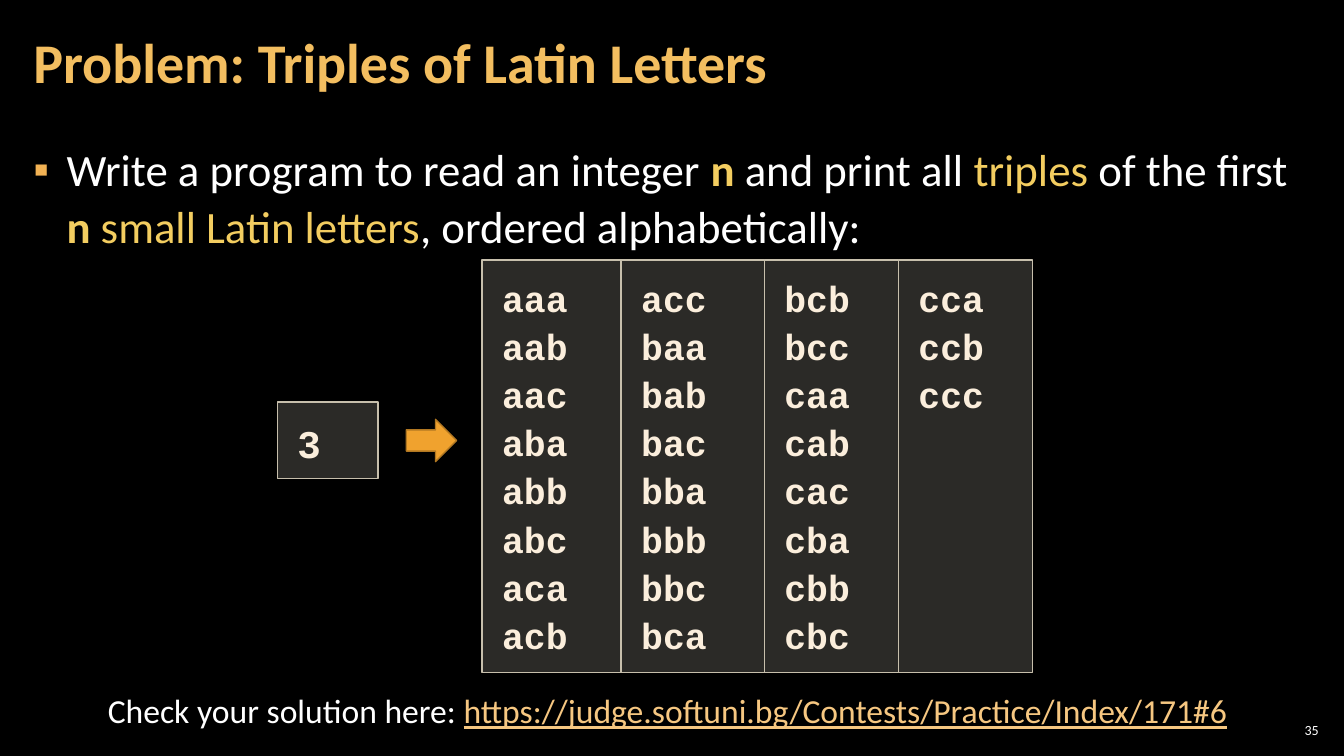
from itertools import product

from lxml import etree
from pptx import Presentation
from pptx.dml.color import RGBColor
from pptx.enum.shapes import MSO_SHAPE
from pptx.enum.text import MSO_ANCHOR, MSO_AUTO_SIZE, PP_ALIGN
from pptx.oxml.ns import qn
from pptx.util import Inches, Pt

RECTANGLE, RIGHT_ARROW = MSO_SHAPE.RECTANGLE, MSO_SHAPE.RIGHT_ARROW
TOP, MIDDLE = MSO_ANCHOR.TOP, MSO_ANCHOR.MIDDLE
LEFT, CENTER, RIGHT = PP_ALIGN.LEFT, PP_ALIGN.CENTER, PP_ALIGN.RIGHT
NO_AUTOFIT = MSO_AUTO_SIZE.NONE

THEME = {
    "background": "000000", "white": "FFFFFF", "title": "F3BE60",
    "highlight": "F3CD60", "bullet": "F2B254", "link": "F6C781",
    "code": "FBEEDC", "panel": "D9D5C7", "panel_line": "C7BFAC",
    "arrow": "F0A22E", "arrow_line": "B27822",
    "title_size": 40, "body_size": 32, "input_size": 28,
    "output_size": 26, "check_size": 24, "number_size": 10,
    "text_font": "Calibri", "code_font": "Courier New",
}


def color(name):
    return RGBColor.from_string(THEME[name])


def write(shape, box, paragraphs, size, font="text_font", anchor=TOP,
          insets=(0.12, 0.04), paragraph_format=None):
    shape.left, shape.top, shape.width, shape.height = map(Inches, box)
    frame = shape.text_frame
    horizontal, vertical = map(Inches, insets)
    frame_format = {
        "word_wrap": True, "auto_size": NO_AUTOFIT, "vertical_anchor": anchor,
        "margin_left": horizontal, "margin_right": horizontal,
        "margin_top": vertical, "margin_bottom": vertical,
    }
    for name, value in frame_format.items():
        setattr(frame, name, value)
    for index, runs in enumerate(paragraphs):
        paragraph = frame.add_paragraph() if index else frame.paragraphs[0]
        for name, value in (paragraph_format or {}).items():
            setattr(paragraph, name, value)
        for text, color_name, bold, underline in runs:
            run = paragraph.add_run()
            run.text = text
            run.font.color.rgb = color(color_name)
            font_format = {"name": THEME[font], "size": Pt(THEME[size]),
                           "bold": bold, "underline": underline}
            for name, value in font_format.items():
                setattr(run.font, name, value)


presentation = Presentation()
presentation.slide_width = Inches(13.33)
presentation.slide_height = Inches(7.5)
slide = presentation.slides.add_slide(presentation.slide_layouts[1])
slide.background.fill.solid()
slide.background.fill.fore_color.rgb = color("background")

write(slide.shapes.title, (0.21, 0.04, 10.47, 1.21),
      [[("Problem: Triples of Latin Letters", "title", True, False)]],
      "title_size", anchor=MIDDLE,
      paragraph_format={"alignment": LEFT, "line_spacing": 0.9})

body = slide.placeholders[1]
properties = body.text_frame.paragraphs[0]._p.get_or_add_pPr()
properties.set("marL", str(Inches(0.33)))
properties.set("indent", str(Inches(-0.33)))
bullet_color = etree.SubElement(properties, qn("a:buClr"))
etree.SubElement(bullet_color, qn("a:srgbClr"), val=THEME["bullet"])
etree.SubElement(properties, qn("a:buChar"), char="▪")
write(body, (0.21, 1.26, 12.91, 6.09), [[
    ("Write a program to read an integer ", "white", False, False),
    ("n", "highlight", True, False),
    (" and print all ", "white", False, False),
    ("triples", "highlight", False, False),
    (" of the first ", "white", False, False),
    ("n ", "highlight", True, False),
    ("small Latin letters", "highlight", False, False),
    (", ordered alphabetically:", "white", False, False),
]], "body_size", paragraph_format={
    "line_spacing": 1.05, "space_before": Pt(0), "space_after": Pt(6)})
body.top = Inches(1.34)
body.height = Inches(6.01)

triples = ["".join(letters) for letters in product("abc", repeat=3)]
rows = 8
panels = [((2.75, 3.99, 1, 0.76), ["3"], "input_size")]
column_left = 4.78
for column, width in enumerate((1.38, 1.42, 1.33, 1.33)):
    lines = triples[column * rows:(column + 1) * rows]
    panels.append(((column_left, 2.58, width, 4.09), lines, "output_size"))
    column_left += width

for box, lines, size in panels:
    panel = slide.shapes.add_shape(RECTANGLE, *map(Inches, box))
    panel.shadow.inherit = False
    panel.fill.solid()
    panel.fill.fore_color.rgb = color("panel")
    fill_color = panel._element.spPr.find(qn("a:solidFill"))[0]
    etree.SubElement(fill_color, qn("a:alpha"), val="20000")
    panel.line.color.rgb = color("panel_line")
    panel.line.width = Pt(1)
    write(panel, box, [[(line, "code", True, False)] for line in lines],
          size, "code_font", insets=(0.2, 0.12),
          paragraph_format={"alignment": LEFT, "line_spacing": 1.1})

arrow = slide.shapes.add_shape(
    RIGHT_ARROW, Inches(4.03), Inches(4.16), Inches(0.5), Inches(0.42))
arrow.shadow.inherit = False
arrow.fill.solid()
arrow.fill.fore_color.rgb = color("arrow")
arrow.line.color.rgb = color("arrow_line")
arrow.line.width = Pt(1)

check = [[
    ("Check your solution here: ", "white", False, False),
    ("https://judge.softuni.bg/Contests/Practice/Index/171#6",
     "link", False, True),
]]
number = [[("35", "white", False, False)]]
for box, paragraphs, size, anchor, insets, alignment in (
    ((0.83, 6.8, 11.58, 0.5), check, "check_size", TOP, (0.1, 0.05), CENTER),
    ((12.65, 7.14, 0.47, 0.21), number, "number_size", MIDDLE, (0.04, 0.04),
     RIGHT),
):
    text_box = slide.shapes.add_textbox(*map(Inches, box))
    write(text_box, box, paragraphs, size, anchor=anchor, insets=insets,
          paragraph_format={"alignment": alignment})

presentation.save("out.pptx")
